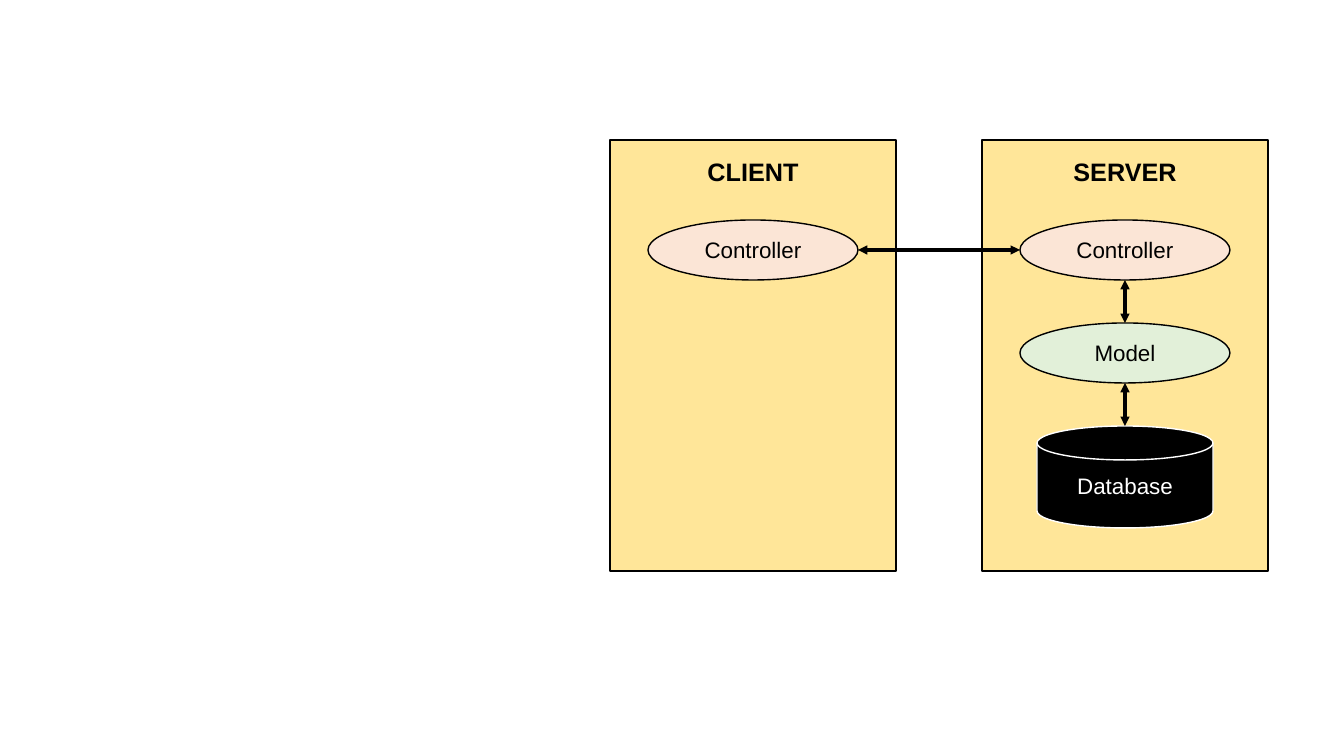
from lxml.etree import SubElement
from pptx import Presentation
from pptx.dml.color import RGBColor
from pptx.enum.shapes import MSO_CONNECTOR, MSO_SHAPE
from pptx.enum.text import MSO_ANCHOR, MSO_AUTO_SIZE, PP_ALIGN
from pptx.oxml.ns import qn
from pptx.util import Emu, Pt

EMU_PER_PIXEL = 914400 / 100.8
BLACK, WHITE = "000000", "FFFFFF"
SAND, PEACH, MINT = "FFE699", "FBE5D6", "E2F0D9"

CLIENT_X, SERVER_X = 753, 1125  # centre of each panel
PANEL_TOP, PANEL_W, PANEL_H = 140, 286, 431
NODE_W, NODE_H = 210, 60
CONTROLLER_Y, ROW_STEP = 220, 103
DATABASE_W, DATABASE_H = 176, 102


def px(pixels):
    """Turn pixels into EMU."""
    return Emu(round(pixels * EMU_PER_PIXEL))


def color(hex_code):
    """Turn a hex string into a colour."""
    return RGBColor.from_string(hex_code)


def write(frame, words, size, ink, bold=False):
    """Write one centred run into a text frame."""
    paragraph = frame.paragraphs[0]
    paragraph.alignment = PP_ALIGN.CENTER
    run = paragraph.add_run()
    run.text = words
    run.font.name = "Arial"
    run.font.size = Pt(size)
    run.font.bold = bold
    run.font.color.rgb = color(ink)


def add_block(slide, preset, center_x, top, width, height, fill, outline=BLACK):
    """Add a filled, outlined shape centred on center_x."""
    block = slide.shapes.add_shape(
        preset, px(center_x - width / 2), px(top), px(width), px(height))
    block.shadow.inherit = False
    block.fill.solid()
    block.fill.fore_color.rgb = color(fill)
    block.line.color.rgb = color(outline)
    block.line.width = Pt(1)
    return block


def add_panel(slide, center_x, title):
    """Add a tier panel with its bold title."""
    add_block(slide, MSO_SHAPE.RECTANGLE, center_x, PANEL_TOP, PANEL_W, PANEL_H, SAND)
    heading = slide.shapes.add_textbox(px(center_x - 62), px(151), px(124), px(40))
    heading.text_frame.word_wrap = True
    heading.text_frame.auto_size = MSO_AUTO_SIZE.SHAPE_TO_FIT_TEXT
    write(heading.text_frame, title, 18, BLACK, bold=True)


def add_node(slide, center_x, top, label, fill):
    """Add a labelled ellipse for a component."""
    node = add_block(slide, MSO_SHAPE.OVAL, center_x, top, NODE_W, NODE_H, fill)
    node.text_frame.vertical_anchor = MSO_ANCHOR.MIDDLE
    write(node.text_frame, label, 16, BLACK)


def add_database(slide, center_x, top):
    """Add the black database cylinder."""
    database = add_block(slide, MSO_SHAPE.FLOWCHART_MAGNETIC_DISK, center_x, top,
                         DATABASE_W, DATABASE_H, BLACK, WHITE)
    database.text_frame.vertical_anchor = MSO_ANCHOR.MIDDLE
    write(database.text_frame, "Database", 16, WHITE)


def add_exchange(slide, x1, y1, x2, y2):
    """Add a line with an arrowhead at both ends."""
    exchange = slide.shapes.add_connector(
        MSO_CONNECTOR.STRAIGHT, px(x1), px(y1), px(x2), px(y2))
    exchange.line.color.rgb = color(BLACK)
    exchange.line.width = Pt(2.25)
    line_xml = exchange.line._get_or_add_ln()
    for end in ("a:headEnd", "a:tailEnd"):
        SubElement(line_xml, qn(end), type="triangle")
    SubElement(exchange._element.spPr, qn("a:effectLst"))


def main():
    """Build the client and server diagram."""
    deck = Presentation()
    deck.slide_width, deck.slide_height = px(1344), px(756)
    slide = deck.slides.add_slide(deck.slide_layouts[6])
    model_y = CONTROLLER_Y + ROW_STEP
    database_y = model_y + ROW_STEP

    for center_x, title in ((SERVER_X, "SERVER"), (CLIENT_X, "CLIENT")):
        add_panel(slide, center_x, title)
        add_node(slide, center_x, CONTROLLER_Y, "Controller", PEACH)
    add_node(slide, SERVER_X, model_y, "Model", MINT)
    add_database(slide, SERVER_X, database_y)

    for lower_y in (model_y, database_y):
        add_exchange(slide, SERVER_X, lower_y - ROW_STEP + NODE_H, SERVER_X, lower_y)
    link_y = CONTROLLER_Y + NODE_H // 2
    add_exchange(slide, SERVER_X - NODE_W // 2, link_y, CLIENT_X + NODE_W // 2, link_y)
    deck.save("out.pptx")


main()
